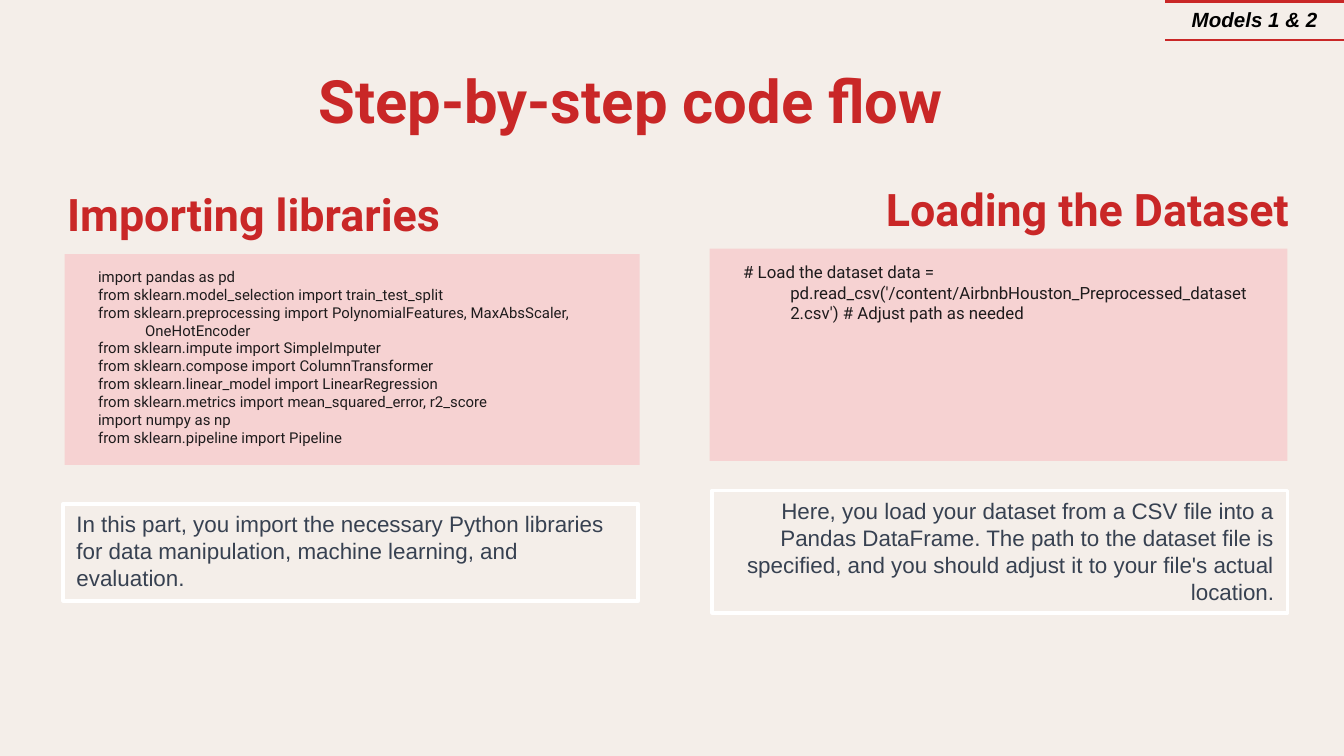
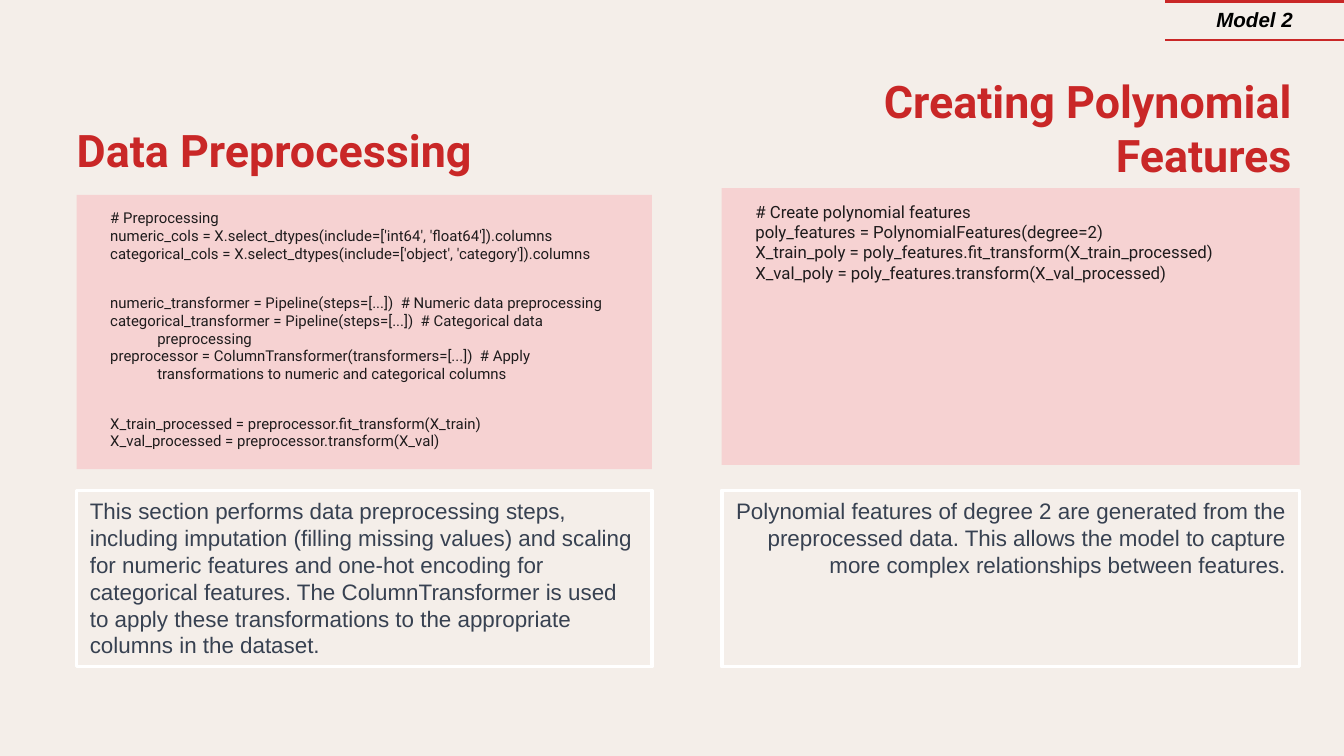
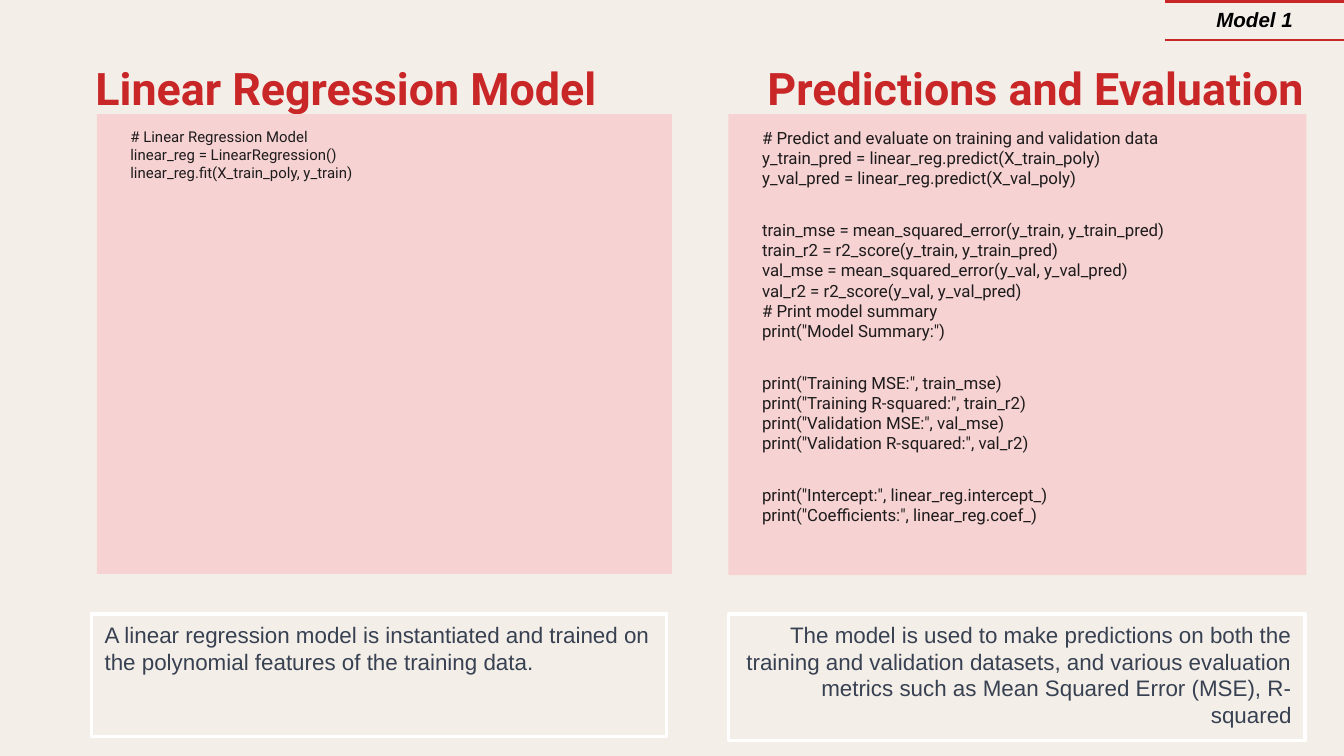
from lxml import etree
from pptx import Presentation
from pptx import util as u
from pptx.dml.color import RGBColor
from pptx.enum import shapes, text
from pptx.oxml.ns import qn

# Shared style
CREAM = RGBColor(0xF4, 0xEE, 0xE9)
RED = RGBColor(0xC9, 0x27, 0x27)
PINK = RGBColor(0xF6, 0xD2, 0xD2)
INK = RGBColor(0x1E, 0x1B, 0x1C)
SLATE = RGBColor(0x37, 0x41, 0x51)
WHITE = RGBColor(0xFF, 0xFF, 0xFF)
BLACK = RGBColor(0, 0, 0)
HEAD_FONT, NOTE_FONT = "Roboto", "Arial"
LEFT, CENTER, RIGHT = text.PP_ALIGN.LEFT, text.PP_ALIGN.CENTER, text.PP_ALIGN.RIGHT
TOP, MIDDLE, BOTTOM = (text.MSO_ANCHOR.TOP, text.MSO_ANCHOR.MIDDLE,
                       text.MSO_ANCHOR.BOTTOM)
COMPARISON_LAYOUT = 4
HEADING_HEIGHT = 0.58
CODE_GAP = u.Pt(16.8)


class CodeDeck:
    """Holds the style, the deck and the current slide."""

    def __init__(self):
        self.deck = Presentation()
        self.deck.slide_width = u.Inches(10)
        self.deck.slide_height = u.Inches(10) * 9 // 16
        background = self.deck.slide_master.background.fill
        background.solid()
        background.fore_color.rgb = CREAM
        self.page = None

    def new_page(self, tag, title=None):
        layout = self.deck.slide_layouts[COMPARISON_LAYOUT]
        self.page = self.deck.slides.add_slide(layout)
        self.title(title)
        self.tag(tag)

    @staticmethod
    def place(box, area):
        box.left, box.top, box.width, box.height = map(u.Inches, area)

    @staticmethod
    def frame(box, anchor, inset):
        frame = box.text_frame
        frame.word_wrap = True
        frame.auto_size = text.MSO_AUTO_SIZE.NONE
        frame.vertical_anchor = anchor
        frame.margin_left = frame.margin_right = u.Inches(0.1)
        frame.margin_top = frame.margin_bottom = u.Inches(inset)
        return frame

    @staticmethod
    def style(para, font, size, color, align=LEFT, bold=False, italic=False):
        para.alignment = align
        para.line_spacing = 1.0
        para.space_before = para.space_after = u.Pt(0)
        for span in para.runs:
            span.font.name = font
            span.font.size = u.Pt(size)
            span.font.color.rgb = color
            span.font.bold = bold
            span.font.italic = italic

    @staticmethod
    def hang(para):
        properties = para._p.get_or_add_pPr()
        properties.set("marL", str(u.Inches(0.5)))
        properties.set("indent", str(u.Inches(-0.35)))
        etree.SubElement(properties, qn("a:buNone"))

    def title(self, words):
        box = self.page.shapes.title
        if words is None:
            box._element.getparent().remove(box._element)
            return
        self.place(box, (0.48, 0.43, 8.43, 0.63))
        frame = self.frame(box, MIDDLE, 0.1)
        frame.text = words
        self.style(frame.paragraphs[0], HEAD_FONT, 32, RED, CENTER, bold=True)

    def heading(self, slot, words, left, top, width, align):
        box = self.page.placeholders[slot]
        self.place(box, (left, top, width, HEADING_HEIGHT))
        frame = self.frame(box, BOTTOM, 0.1)
        frame.text = words
        self.hang(frame.paragraphs[0])
        self.style(frame.paragraphs[0], HEAD_FONT, 24, RED, align, bold=True)

    def code(self, slot, listing, area, size):
        box = self.page.placeholders[slot]
        self.place(box, area)
        box.fill.solid()
        box.fill.fore_color.rgb = PINK
        frame = self.frame(box, TOP, 0.1)
        blocks = [block.split("\n") for block in listing.strip().split("\n\n")]
        frame.text = "\n".join(line for block in blocks for line in block)
        paras = iter(frame.paragraphs)
        for number, block in enumerate(blocks):
            for row, _ in enumerate(block):
                para = next(paras)
                self.hang(para)
                self.style(para, HEAD_FONT, size, INK)
                if number and row == 0:
                    para.space_before = CODE_GAP

    def note(self, words, area, align):
        box = self.page.shapes.add_shape(shapes.MSO_SHAPE.RECTANGLE,
                                         *map(u.Inches, area))
        box.shadow.inherit = False
        box.fill.solid()
        box.fill.fore_color.rgb = CREAM
        box.line.color.rgb = WHITE
        box.line.width = u.Pt(2)
        frame = self.frame(box, TOP, 0.05)
        frame.text = words
        self.style(frame.paragraphs[0], NOTE_FONT, 12, SLATE, align)

    def tag(self, words):
        area = map(u.Inches, (8.67, 0.01, 1.33, 0.29))
        table = self.page.shapes.add_table(1, 1, *area).table
        table.first_row = table.horz_banding = False
        cell = table.cell(0, 0)
        cell.text = words
        cell.vertical_anchor = MIDDLE
        cell.fill.background()
        self.style(cell.text_frame.paragraphs[0], NOTE_FONT, 11, BLACK, CENTER,
                   bold=True, italic=True)
        properties = cell._tc.get_or_add_tcPr()
        for order, side in enumerate(("lnL", "lnR", "lnT", "lnB")):
            border = etree.Element(qn(f"a:{side}"), w=str(u.Pt(1.5)))
            if side in ("lnT", "lnB"):
                fill = etree.SubElement(border, qn("a:solidFill"))
                etree.SubElement(fill, qn("a:srgbClr"), val=str(RED))
            else:
                etree.SubElement(border, qn("a:noFill"))
            properties.insert(order, border)

    def left_column(self, heading, heading_at, listing, code_at, note, note_at):
        self.heading(1, heading, *heading_at, LEFT)
        self.code(2, listing, code_at, 8)
        self.note(note, note_at, LEFT)

    def right_column(self, heading, heading_at, listing, code_at, note, note_at):
        self.heading(3, heading, *heading_at, RIGHT)
        self.code(4, listing, code_at, 9)
        self.note(note, note_at, RIGHT)


# Code listings
IMPORTS = """
import pandas as pd
from sklearn.model_selection import train_test_split
from sklearn.preprocessing import PolynomialFeatures, MaxAbsScaler, OneHotEncoder
from sklearn.impute import SimpleImputer
from sklearn.compose import ColumnTransformer
from sklearn.linear_model import LinearRegression
from sklearn.metrics import mean_squared_error, r2_score
import numpy as np
from sklearn.pipeline import Pipeline
"""
LOADING = ("# Load the dataset data = "
           "pd.read_csv('/content/AirbnbHouston_Preprocessed_dataset 2.csv') "
           "# Adjust path as needed")
PREPROCESSING = """
# Preprocessing
numeric_cols = X.select_dtypes(include=['int64', 'float64']).columns
categorical_cols = X.select_dtypes(include=['object', 'category']).columns

numeric_transformer = Pipeline(steps=[...])  # Numeric data preprocessing
categorical_transformer = Pipeline(steps=[...])  # Categorical data preprocessing
preprocessor = ColumnTransformer(transformers=[...])  # Apply transformations to numeric and categorical columns

X_train_processed = preprocessor.fit_transform(X_train)
X_val_processed = preprocessor.transform(X_val)
"""
POLYNOMIALS = """
# Create polynomial features
poly_features = PolynomialFeatures(degree=2)
X_train_poly = poly_features.fit_transform(X_train_processed)
X_val_poly = poly_features.transform(X_val_processed)
"""
REGRESSION = """
# Linear Regression Model
linear_reg = LinearRegression()
linear_reg.fit(X_train_poly, y_train)
"""
EVALUATION = """
# Predict and evaluate on training and validation data
y_train_pred = linear_reg.predict(X_train_poly)
y_val_pred = linear_reg.predict(X_val_poly)

train_mse = mean_squared_error(y_train, y_train_pred)
train_r2 = r2_score(y_train, y_train_pred)
val_mse = mean_squared_error(y_val, y_val_pred)
val_r2 = r2_score(y_val, y_val_pred)
# Print model summary
print("Model Summary:")

print("Training MSE:", train_mse)
print("Training R-squared:", train_r2)
print("Validation MSE:", val_mse)
print("Validation R-squared:", val_r2)

print("Intercept:", linear_reg.intercept_)
print("Coefficients:", linear_reg.coef_)
"""


def main():
    show = CodeDeck()

    # Slide 1: imports and data loading
    show.new_page("Models 1 & 2", "Step-by-step code flow")
    show.left_column(
        "Importing libraries", (0.25, 1.31, 3.34),
        IMPORTS, (0.48, 1.89, 4.28, 1.57),
        "In this part, you import the necessary Python libraries for data "
        "manipulation, machine learning, and evaluation.",
        (0.47, 3.75, 4.28, 0.72))
    show.right_column(
        "Loading the Dataset", (5.71, 1.27, 3.98),
        LOADING, (5.28, 1.85, 4.3, 1.58),
        "Here, you load your dataset from a CSV file into a Pandas DataFrame. "
        "The path to the dataset file is specified, and you should adjust it "
        "to your file's actual location.",
        (5.3, 3.65, 4.28, 0.91))

    # Slide 2: preprocessing and polynomial features
    show.new_page("Model 2")
    show.left_column(
        "Data Preprocessing", (0.32, 0.83, 4.36),
        PREPROCESSING, (0.57, 1.45, 4.28, 2.04),
        "This section performs data preprocessing steps, including imputation "
        "(filling missing values) and scaling for numeric features and one-hot "
        "encoding for categorical features. The ColumnTransformer is used to "
        "apply these transformations to the appropriate columns in the dataset.",
        (0.57, 3.65, 4.28, 1.31))
    show.right_column(
        "Creating Polynomial Features", (5.73, 0.87, 3.98),
        POLYNOMIALS, (5.37, 1.4, 4.3, 2.06),
        "Polynomial features of degree 2 are generated from the preprocessed "
        "data. This allows the model to capture more complex relationships "
        "between features.",
        (5.37, 3.65, 4.3, 1.31))

    # Slide 3: regression and evaluation
    show.new_page("Model 1")
    show.left_column(
        "Linear Regression Model", (0.46, 0.37, 4.36),
        REGRESSION, (0.72, 0.85, 4.28, 3.42),
        "A linear regression model is instantiated and trained on the "
        "polynomial features of the training data.",
        (0.68, 4.57, 4.28, 0.91))
    show.right_column(
        "Predictions and Evaluation", (5.03, 0.37, 4.77),
        EVALUATION, (5.42, 0.85, 4.3, 3.43),
        "The model is used to make predictions on both the training and "
        "validation datasets, and various evaluation metrics such as Mean "
        "Squared Error (MSE), R-squared",
        (5.42, 4.57, 4.29, 0.94))

    show.deck.save("out.pptx")


if __name__ == "__main__":
    main()
